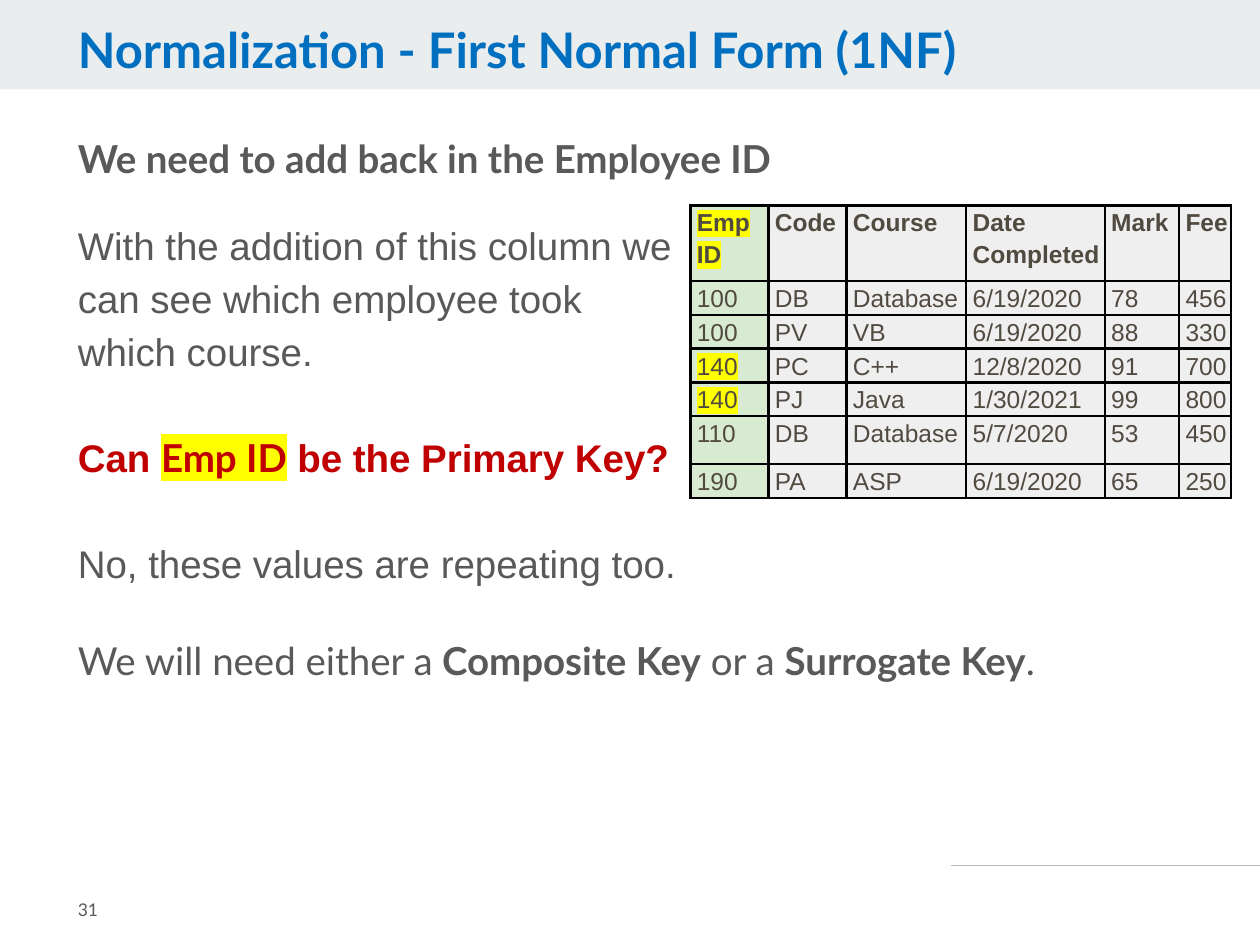
import lxml.etree
import pptx
import pptx.dml.color
import pptx.enum.shapes
import pptx.enum.text
import pptx.oxml
import pptx.oxml.ns
import pptx.util

COLUMNS, ROWS = 100, 75
COLORS = {
    "band": "E9EDEE", "title": "006FBF", "text": "595959", "question": "C00000",
    "mark": "FFFF00", "rule": "B7B7B7", "cell": "514A40", "key": "D9EAD3",
    "plain": "EFEFEF", "border": "000000",
}
HEADER = ["Emp ID", "Code", "Course", "Date Completed", "Mark", "Fee"]
RECORDS = [
    ["100", "DB", "Database", "6/19/2020", "78", "456"],
    ["100", "PV", "VB", "6/19/2020", "88", "330"],
    ["140", "PC", "C++", "12/8/2020", "91", "700"],
    ["140", "PJ", "Java", "1/30/2021", "99", "800"],
    ["110", "DB", "Database", "5/7/2020", "53", "450"],
    ["190", "PA", "ASP", "6/19/2020", "65", "250"],
]
MARKED = {"Emp ID", "140"}
COLUMN_WIDTHS = [6.2, 6.2, 9.5, 11, 5.9, 4.1]
ROW_HEIGHTS = [6, 2.1, 2.1, 2.1, 2.1, 3.8, 2.1]


def grid(units):
    return pptx.util.Inches(units / 10)


def rgb(name):
    return pptx.dml.color.RGBColor.from_string(COLORS[name])


def style_span(span, size, font="Lato", color="text", bold=False, marked=False):
    span.font.size = pptx.util.Pt(size)
    span.font.name = font
    span.font.bold = bold
    span.font.color.rgb = rgb(color)
    if marked:
        highlight = pptx.oxml.parse_xml(
            f'<a:highlight {pptx.oxml.ns.nsdecls("a")}>'
            f'<a:srgbClr val="{COLORS["mark"]}"/></a:highlight>')
        fill = span.font._element.find(pptx.oxml.ns.qn("a:solidFill"))
        fill.addnext(highlight)


def add_text(page, area, paragraphs, size, inset=1, spacing=1.15, gap=0, middle=False):
    box = page.shapes.add_textbox(*map(grid, area))
    frame = box.text_frame
    frame.word_wrap = True
    frame.margin_left = frame.margin_right = grid(1)
    frame.margin_top = frame.margin_bottom = grid(inset)
    if middle:
        frame.vertical_anchor = pptx.enum.text.MSO_ANCHOR.MIDDLE
    for index, spans in enumerate(paragraphs):
        para = frame.add_paragraph() if index else frame.paragraphs[0]
        para.line_spacing = spacing
        if index and gap:
            para.space_before = pptx.util.Pt(gap)
        for text, look in spans:
            span = para.add_run()
            span.text = text
            style_span(span, size, **look)


def add_heading(page, area):
    left, top, width, height = area
    band = page.shapes.add_shape(
        pptx.enum.shapes.MSO_SHAPE.RECTANGLE, *map(grid, area))
    band.shadow.inherit = False
    band.fill.solid()
    band.fill.fore_color.rgb = rgb("band")
    band.line.fill.background()
    title = [("Normalization - First Normal Form (1NF)", {"color": "title", "bold": True})]
    add_text(page, (left + 5.2, top + 1.6, 78.8, height - 1.6), [title], 28,
             inset=0.5, spacing=0.9)


def add_explanation(page, area):
    left, top, width, height = area
    plain = {"font": "Arial"}
    question = {"font": "Arial", "color": "question", "bold": True}
    add_text(page, (left, top, 81.9, 5.7),
             [[("We need to add back in the Employee ID", {"bold": True})]], 22)
    add_text(page, (left, top + 7.4, 49.7, 31.8), [
        [("With the addition of this column we can see which employee took which course.",
          plain)],
        [("Can ", question),
         ("Emp ID", {**question, "font": "Lato", "marked": True}),
         (" be the Primary Key?", question)],
        [("No, these values are repeating too.", plain)],
    ], 22, inset=0.5, gap=30)
    strong = {"bold": True}
    add_text(page, (left, top + height - 6.7, width, 6.7), [[
        ("We will need either a", {}), (" Composite Key", strong),
        (" or a ", {}), ("Surrogate Key", strong), (".", {}),
    ]], 22)


def add_borders(cell):
    properties = cell._tc.get_or_add_tcPr()
    for index, side in enumerate(("lnL", "lnR", "lnT", "lnB")):
        border = pptx.oxml.parse_xml(
            f'<a:{side} {pptx.oxml.ns.nsdecls("a")} w="{pptx.util.Pt(1.5)}">'
            f'<a:solidFill><a:srgbClr val="{COLORS["border"]}"/></a:solidFill></a:{side}>')
        properties.insert(index, border)


def fill_cell(cell, text, header, key):
    cell.margin_left = grid(0.5)
    cell.margin_right = cell.margin_top = cell.margin_bottom = 0
    cell.fill.solid()
    cell.fill.fore_color.rgb = rgb("key" if key else "plain")
    add_borders(cell)
    para = cell.text_frame.paragraphs[0]
    para.text = text
    para.line_spacing = 1.15
    style_span(para.runs[0], 14, "Arial", "cell", header, text in MARKED)


def add_course_table(page, area):
    records = [HEADER] + RECORDS
    table = page.shapes.add_table(
        len(records), len(HEADER), *map(grid, area)).table
    table.first_row = table.horz_banding = False
    for column, width in zip(table.columns, COLUMN_WIDTHS):
        column.width = grid(width)
    for row, height in zip(table.rows, ROW_HEIGHTS):
        row.height = grid(height)
    for row_index, record in enumerate(records):
        for column_index, text in enumerate(record):
            fill_cell(table.cell(row_index, column_index), text,
                      row_index == 0, column_index == 0)


def add_footer(page, area):
    left, top, width, height = area
    rule = page.shapes.add_connector(
        pptx.enum.shapes.MSO_CONNECTOR.STRAIGHT,
        grid(left + 75.5), grid(top), grid(left + width), grid(top))
    rule.line.color.rgb = rgb("rule")
    rule.line.width = pptx.util.Pt(0.75)
    lxml.etree.SubElement(rule._element.spPr, pptx.oxml.ns.qn("a:effectLst"))
    add_text(page, (left + 5.2, top + 0.6, 12.3, height - 0.6), [[("31", {})]], 10,
             spacing=1, middle=True)


def main():
    deck = pptx.Presentation()
    deck.slide_width, deck.slide_height = grid(COLUMNS), grid(ROWS)
    page = deck.slides.add_slide(deck.slide_layouts[6])
    add_heading(page, (0, 0, COLUMNS, 7.1))
    add_explanation(page, (5.2, 9.2, 92, 46.5))
    add_course_table(page, (54.8, 16.3, sum(COLUMN_WIDTHS), sum(ROW_HEIGHTS)))
    add_footer(page, (0, 68.7, COLUMNS, 6.3))
    deck.save("out.pptx")


if __name__ == "__main__":
    main()
